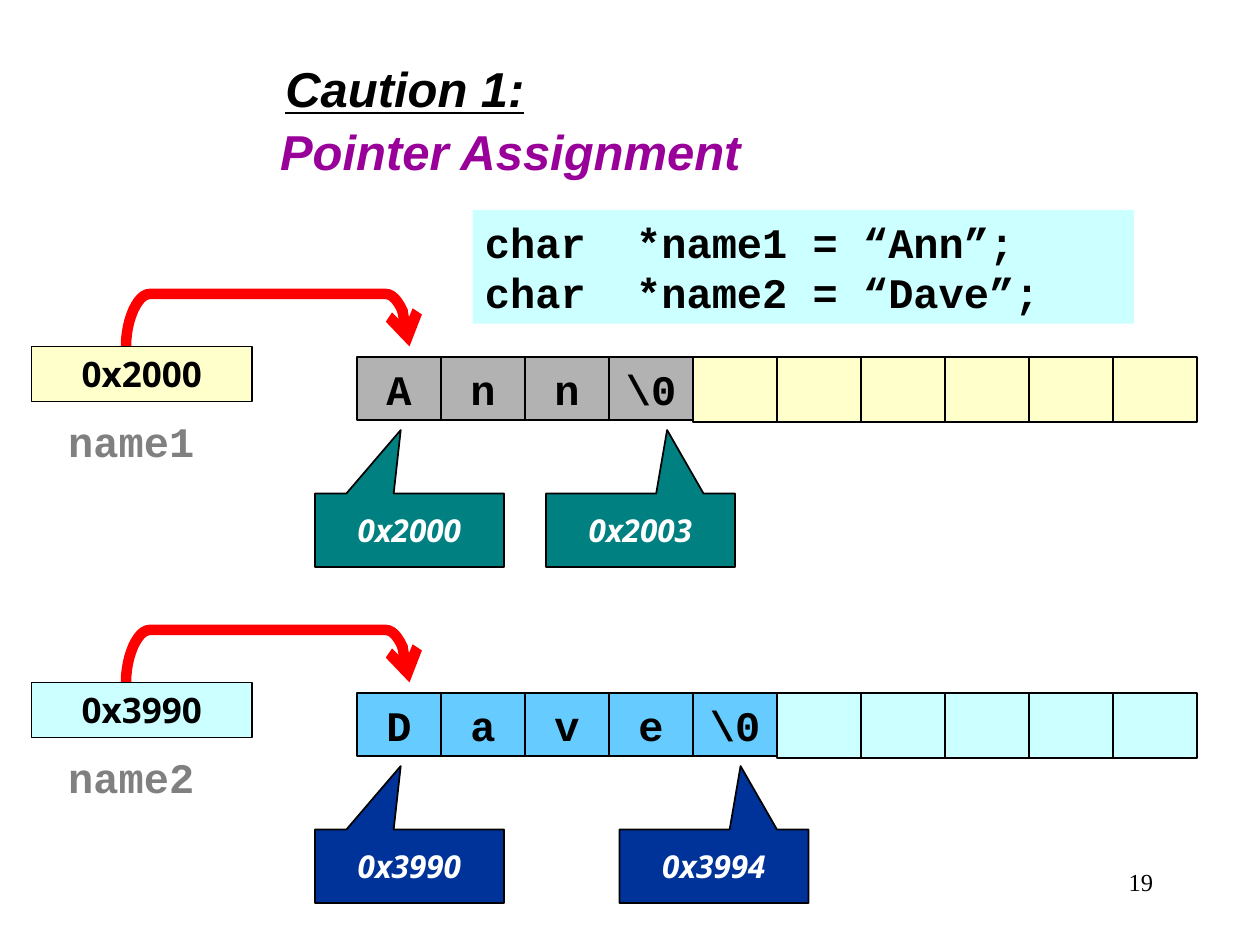
from lxml.etree import SubElement
from pptx import Presentation
from pptx.dml.color import RGBColor
from pptx.enum.shapes import MSO_SHAPE as Shape
from pptx.enum.text import MSO_ANCHOR as Anchor, PP_ALIGN as Align
from pptx.oxml.ns import qn
from pptx.util import Pt

COLORS = {
    "black": "000000", "white": "FFFFFF", "gray": "808080", "purple": "990099",
    "red": "FF0000", "silver": "B2B2B2", "cream": "FFFFCC", "teal": "008080",
    "sky": "66CCFF", "ice": "CCFFFF", "navy": "003399",
}
CELL = 48
CELLS_LEFT = 204
ROWS = [
    {"top": 204, "name": "name1", "chars": ["A", "n", "n", "\\0"],
     "addresses": ["0x2000", "0x2003"], "last_left": 312,
     "used": "silver", "free": "cream", "callout": "teal"},
    {"top": 396, "name": "name2", "chars": ["D", "a", "v", "e", "\\0"],
     "addresses": ["0x3990", "0x3994"], "last_left": 354,
     "used": "sky", "free": "ice", "callout": "navy"},
]

deck = Presentation()
deck.slide_width, deck.slide_height = Pt(720), Pt(540)
page = deck.slides.add_slide(deck.slide_layouts[6])


def add_box(bounds, fill=None, outlined=True, kind=Shape.RECTANGLE):
    lengths = [Pt(value) for value in bounds]
    if fill is None:
        return page.shapes.add_textbox(*lengths)
    box = page.shapes.add_shape(kind, *lengths)
    box.shadow.inherit = False
    box.fill.solid()
    box.fill.fore_color.rgb = RGBColor.from_string(COLORS[fill])
    if outlined:
        box.line.color.rgb = RGBColor.from_string(COLORS["black"])
        box.line.width = Pt(1)
    else:
        box.line.fill.background()
    return box


def write(box, lines, font, size, color="black", align=Align.CENTER,
          bold=True, italic=False, underline=False, anchor=Anchor.TOP, wrap=True):
    frame = box.text_frame
    frame.word_wrap = wrap
    frame.vertical_anchor = anchor
    frame.text = "\n".join(lines)
    for para in frame.paragraphs:
        para.alignment = align
        para.font.name = font
        para.font.size = Pt(size)
        para.font.bold = bold
        para.font.italic = italic
        para.font.underline = underline
        para.font.color.rgb = RGBColor.from_string(COLORS[color])


write(add_box((516, 492, 150, 36)), ["19"], "Times New Roman", 14,
      align=Align.RIGHT, bold=False)
write(add_box((156, 30, 318, 41)), ["Caution 1:"], "Arial", 28,
      align=Align.LEFT, italic=True, underline=True)
write(add_box((153, 66, 291, 41)), ["Pointer Assignment"], "Arial", 28, "purple",
      align=Align.LEFT, italic=True)

for row in ROWS:
    top = row["top"]
    for index in range(10):
        left = CELLS_LEFT + index * CELL
        if index < len(row["chars"]):
            cell = add_box((left, top, CELL, 36), row["used"])
            write(cell, [row["chars"][index]], "Courier New", 24)
        else:
            add_box((left, top, CELL, 37), row["free"])

    callouts = zip(row["addresses"], [180, row["last_left"]], [-0.046, 0.141])
    for address, left, tip in callouts:
        callout = add_box((left, top + 78, 108, 42), row["callout"],
                          kind=Shape.RECTANGULAR_CALLOUT)
        callout.adjustments[0] = tip
        callout.adjustments[1] = -1.363
        write(callout, [address], "Open Sans", 18, "white", italic=True,
              anchor=Anchor.MIDDLE, wrap=False)

    curves = [
        [(72, top - 6), (72, top - 21), (78.5, top - 36), (85.5, top - 36)],
        [(220.5, top - 36), (227.5, top - 36), (234, top - 21), (234, top - 6)],
    ]
    points = []
    for curve in curves:
        for step in range(13):
            t = step / 12
            weights = [(1 - t) ** 3, 3 * t * (1 - t) ** 2, 3 * t ** 2 * (1 - t), t ** 3]
            points.append([Pt(sum(w * point[axis] for w, point in zip(weights, curve)))
                           for axis in (0, 1)])
    builder = page.shapes.build_freeform(*points[0])
    builder.add_line_segments(points[1:], close=False)
    arrow = builder.convert_to_shape()
    arrow.shadow.inherit = False
    arrow.fill.background()
    arrow.line.color.rgb = RGBColor.from_string(COLORS["red"])
    arrow.line.width = Pt(6)
    outline = arrow.element.spPr.find(qn("a:ln"))
    SubElement(outline, qn("a:round"))
    SubElement(outline, qn("a:tailEnd"), type="arrow")

    pointer = add_box((18, top - 6, 126, 31.5), row["free"])
    write(pointer, row["addresses"][:1], "Open Sans", 20)
    write(add_box((24, top + 30, 102, 36)), [row["name"]], "Courier New", 24, "gray")

code = add_box((270, 120, 378, 65), "ice", outlined=False)
write(code, ["char  *name1 = “Ann”;", "char  *name2 = “Dave”;"],
      "Courier New", 24, align=Align.LEFT)

deck.save("out.pptx")
